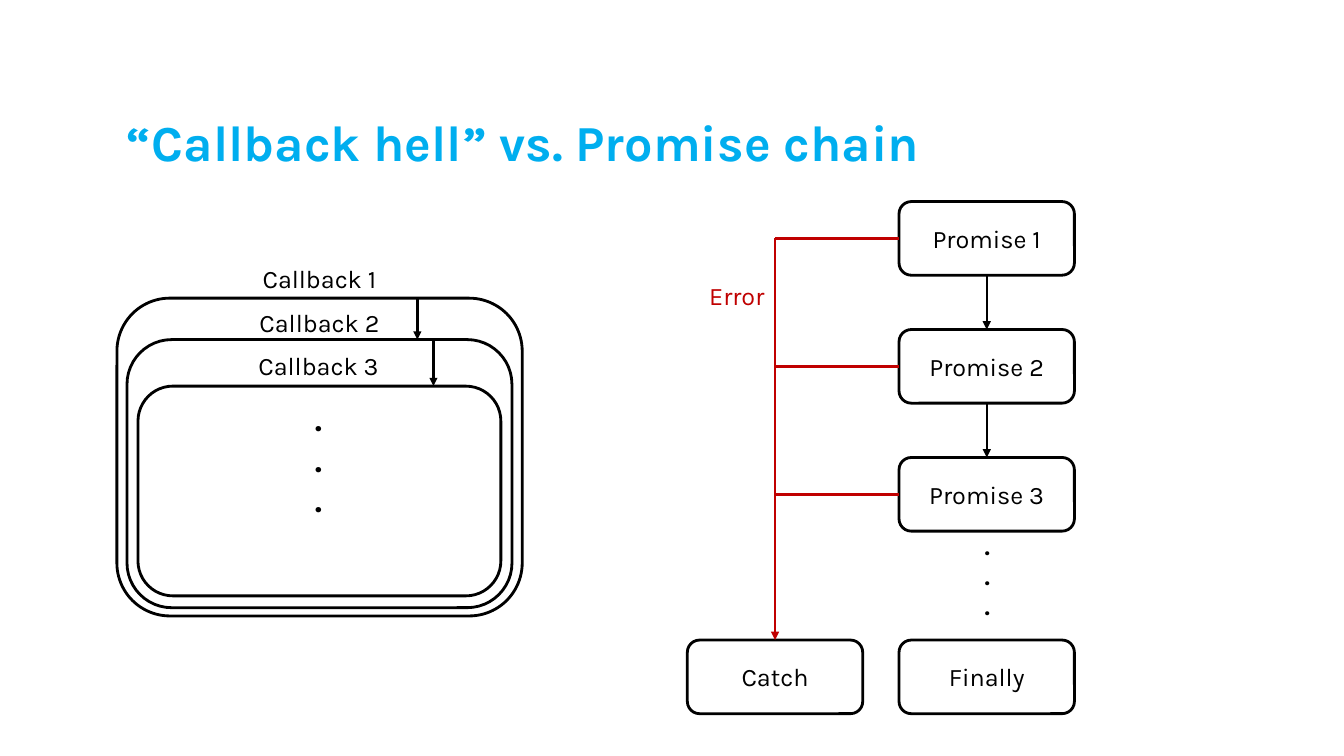
"""Build a slide that contrasts nested callbacks with a promise chain."""
from dataclasses import dataclass

from lxml import etree
from pptx import Presentation
from pptx import util as u
from pptx.dml import color
from pptx.enum import shapes, text
from pptx.oxml import ns


@dataclass(frozen=True)
class Theme:
    font: str = "Karla"
    ink: str = "000000"
    paper: str = "FFFFFF"
    accent: str = "00AEEF"
    error: str = "C00000"
    title_size: float = 36
    dots_size: float = 24
    body_size: float = 18
    outline: float = 2
    stroke: float = 1.75


class Sketch:
    def __init__(self, slide, theme):
        self.slide = slide
        self.theme = theme

    def add_lines(self, frame, lines, size, ink, bold=False, align=text.PP_ALIGN.CENTER):
        frame.word_wrap = True
        for index, line in enumerate(lines):
            paragraph = frame.paragraphs[0] if index == 0 else frame.add_paragraph()
            paragraph.alignment = align
            run = paragraph.add_run()
            run.text = line
            run.font.name = self.theme.font
            run.font.size = u.Pt(size)
            run.font.bold = bold
            run.font.color.rgb = color.RGBColor.from_string(ink)

    def title(self, wording, left, top, width, height):
        heading = self.slide.shapes.title
        heading.left, heading.top = u.Pt(left), u.Pt(top)
        heading.width, heading.height = u.Pt(width), u.Pt(height)
        frame = heading.text_frame
        frame.auto_size = text.MSO_AUTO_SIZE.NONE
        frame.vertical_anchor = text.MSO_ANCHOR.BOTTOM
        self.add_lines(frame, [wording], self.theme.title_size, self.theme.accent,
                       True, text.PP_ALIGN.LEFT)
        frame.paragraphs[0].line_spacing = 0.8

    def label(self, lines, left, top, height=28.8, size=None, ink=None, bold=False):
        caption = self.slide.shapes.add_textbox(
            u.Pt(left), u.Pt(top), u.Pt(108), u.Pt(height))
        self.add_lines(caption.text_frame, lines, size or self.theme.body_size,
                       ink or self.theme.ink, bold)
        caption.text_frame.auto_size = text.MSO_AUTO_SIZE.SHAPE_TO_FIT_TEXT

    def box(self, left, top, width, height, wording=None):
        frame = self.slide.shapes.add_shape(
            shapes.MSO_SHAPE.ROUNDED_RECTANGLE,
            u.Pt(left), u.Pt(top), u.Pt(width), u.Pt(height))
        frame.shadow.inherit = False
        frame.fill.solid()
        frame.fill.fore_color.rgb = color.RGBColor.from_string(self.theme.paper)
        frame.line.color.rgb = color.RGBColor.from_string(self.theme.ink)
        frame.line.width = u.Pt(self.theme.outline)
        if wording:
            frame.text_frame.vertical_anchor = text.MSO_ANCHOR.MIDDLE
            self.add_lines(frame.text_frame, [wording], self.theme.body_size, self.theme.ink)

    def line(self, start, end, ink=None, arrow=True):
        link = self.slide.shapes.add_connector(
            shapes.MSO_CONNECTOR.STRAIGHT, *(u.Pt(value) for value in (*start, *end)))
        link.line.color.rgb = color.RGBColor.from_string(ink or self.theme.ink)
        link.line.width = u.Pt(self.theme.stroke)
        properties = link.element.spPr
        if arrow:
            etree.SubElement(properties.find(ns.qn("a:ln")), ns.qn("a:tailEnd"), type="triangle")
        etree.SubElement(properties, ns.qn("a:effectLst"))


def draw_callbacks(sketch):
    nested = [(83.5, 213, 289.5, 227), (90.7, 242.6, 275, 191.5), (98.6, 275.8, 259.2, 149.8)]
    captions = [(174.2, 184.3), (174.2, 216), (173.5, 247)]
    for number, (bounds, caption) in enumerate(zip(nested, captions), 1):
        sketch.box(*bounds)
        sketch.label([f"Callback {number}"], *caption)
    sketch.label(["."] * 3, 173.5, 280.8, 94.3, sketch.theme.dots_size, bold=True)
    for call_x, outer, inner in zip((298.1, 309.6), nested, nested[1:]):
        sketch.line((call_x, outer[1]), (call_x, inner[1]))


def draw_promises(sketch):
    width, height = 125.3, 52.6
    chain_left, catch_left, last_top = 642.2, 491, 457.2
    chain_x, error_x = chain_left + width / 2, catch_left + width / 2
    tops = [144 + 91.4 * step for step in range(3)]
    error = sketch.theme.error

    for number, top in enumerate(tops, 1):
        sketch.box(chain_left, top, width, height, f"Promise {number}")
    for top, following in zip(tops, tops[1:]):
        sketch.line((chain_x, top + height), (chain_x, following))
    sketch.label(["."] * 3, 651.3, 375.1, 72.7, bold=True)
    sketch.box(chain_left, last_top, width, height, "Finally")
    sketch.box(catch_left, last_top, width, height, "Catch")

    sketch.line((error_x, tops[0] + height / 2), (error_x, last_top), error)
    for top in tops:
        branch_y = top + height / 2
        sketch.line((chain_left, branch_y), (error_x, branch_y), error, arrow=False)
    sketch.label(["Error"], 472.3, 196.6, ink=error)


def main():
    deck = Presentation()
    deck.slide_width, deck.slide_height = u.Pt(960), u.Pt(540)
    sketch = Sketch(deck.slides.add_slide(deck.slide_layouts[5]), Theme())
    sketch.title("“Callback hell” vs. Promise chain", 83.5, 41.8, 684, 84.2)
    draw_callbacks(sketch)
    draw_promises(sketch)
    deck.save("out.pptx")


if __name__ == "__main__":
    main()
